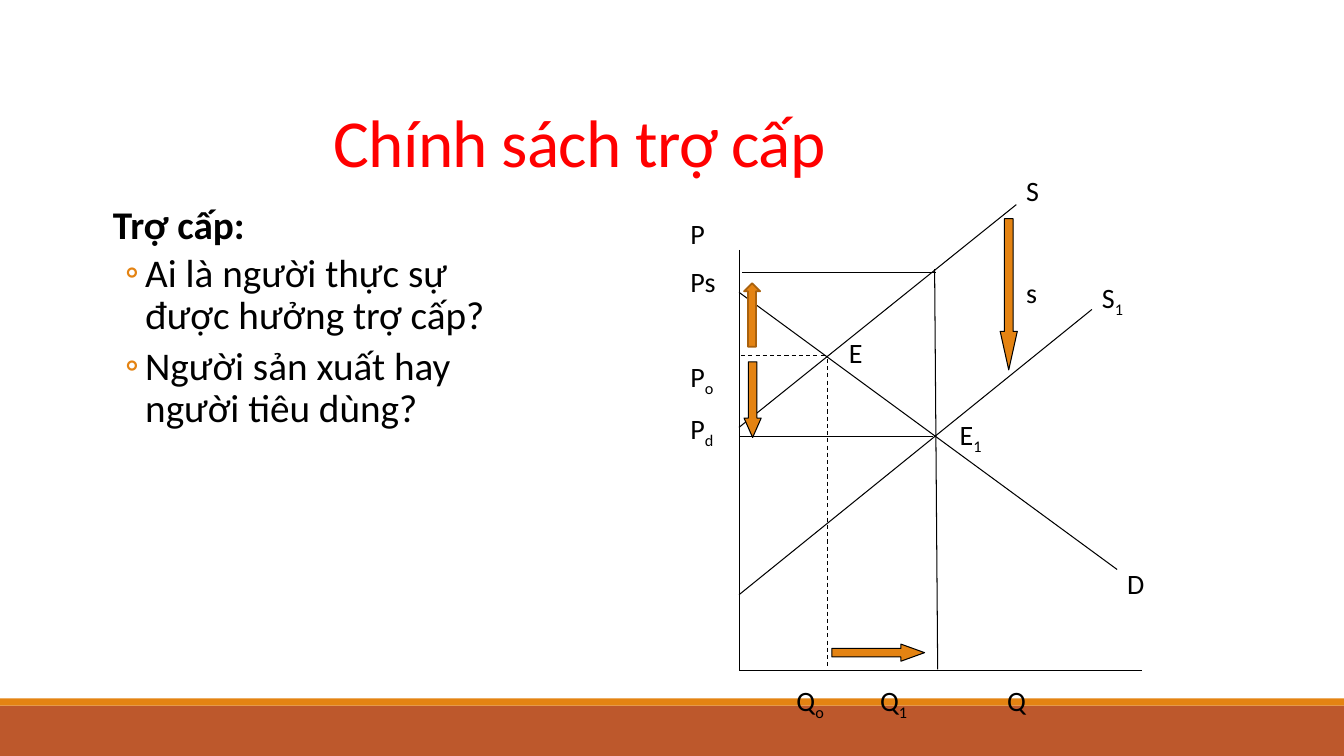
from pptx import Presentation
from pptx.dml.color import RGBColor
from pptx.enum.dml import MSO_LINE
from pptx.enum.shapes import MSO_CONNECTOR, MSO_SHAPE
from pptx.enum.text import MSO_ANCHOR, MSO_AUTO_SIZE, PP_ALIGN
from pptx.oxml.ns import qn
from pptx.util import Inches, Pt
from lxml import etree

STRAIGHT = MSO_CONNECTOR.STRAIGHT
DASH = MSO_LINE.DASH
RECTANGLE = MSO_SHAPE.RECTANGLE
DOWN, UP, RIGHT = MSO_SHAPE.DOWN_ARROW, MSO_SHAPE.UP_ARROW, MSO_SHAPE.RIGHT_ARROW
TOP, BOTTOM = MSO_ANCHOR.TOP, MSO_ANCHOR.BOTTOM
CENTER, LEFT = PP_ALIGN.CENTER, PP_ALIGN.LEFT
NO_AUTOFIT = MSO_AUTO_SIZE.NONE

FONT = "Calibri"
BLACK, RED, ORANGE, RUST, BROWN = "000000", "FF0000", "E48312", "BD582C", "A9610D"


def color(value):
    return RGBColor.from_string(value)


def write(paragraph, text, size=20, fill=BLACK, bold=False, spacing=None):
    """Write text; whatever follows an underscore becomes a subscript."""
    for index, part in enumerate(text.split("_")):
        run = paragraph.add_run()
        run.text = part
        run.font.name = FONT
        run.font.size = Pt(size)
        run.font.bold = bold
        run.font.color.rgb = color(fill)
        properties = run._r.get_or_add_rPr()
        if index:
            properties.set("baseline", "-25000")
        if spacing is not None:
            properties.set("spc", str(int(spacing * 100)))


def place(shape, box):
    shape.left, shape.top, shape.width, shape.height = map(Inches, box)


def set_bullet(paragraph, margin, indent, character=None):
    properties = paragraph._p.get_or_add_pPr()
    properties.set("marL", str(Inches(margin)))
    properties.set("indent", str(Inches(indent)))
    if character is None:
        etree.SubElement(properties, qn("a:buNone"))
        return
    bullet_color = etree.SubElement(properties, qn("a:buClr"))
    etree.SubElement(bullet_color, qn("a:srgbClr")).set("val", ORANGE)
    etree.SubElement(properties, qn("a:buFont")).set("typeface", FONT)
    etree.SubElement(properties, qn("a:buChar")).set("char", character)


def add_block(slide, kind, box, fill, outline=None, width=0.75, adjustments=()):
    shape = slide.shapes.add_shape(kind, *map(Inches, box))
    shape.shadow.inherit = False
    shape.fill.solid()
    shape.fill.fore_color.rgb = color(fill)
    if outline:
        shape.line.color.rgb = color(outline)
        shape.line.width = Pt(width)
    else:
        shape.line.fill.background()
    for index, value in enumerate(adjustments):
        shape.adjustments[index] = value


def add_line(slide, start, end, dash=None):
    line = slide.shapes.add_connector(STRAIGHT, *map(Inches, start + end))
    line.line.color.rgb = color(BLACK)
    line.line.width = Pt(0.75)
    if dash:
        line.line.dash_style = dash
    etree.SubElement(line._element.spPr, qn("a:effectLst"))


def add_label(slide, box, *lines):
    """Each line is a text and the space before it in points."""
    frame = slide.shapes.add_textbox(*map(Inches, box)).text_frame
    frame.word_wrap = True
    for index, (text, space) in enumerate(lines):
        paragraph = frame.add_paragraph() if index else frame.paragraphs[0]
        paragraph.space_before = Pt(space)
        write(paragraph, text)


def add_footer(slide, box):
    left, top, width, height = box
    stripe = 0.07
    add_block(slide, RECTANGLE, (left, top + stripe, width, height - stripe), RUST)
    add_block(slide, RECTANGLE, (left, top, width, stripe), ORANGE)


def add_title(slide, box):
    title = slide.shapes.title
    place(title, box)
    frame = title.text_frame
    frame.auto_size = NO_AUTOFIT
    frame.vertical_anchor = BOTTOM
    paragraph = frame.paragraphs[0]
    paragraph.alignment = CENTER
    paragraph.line_spacing = 0.85
    write(paragraph, "Chính sách trợ cấp", size=48, fill=RED, spacing=-0.5)


def add_questions(slide, box):
    body = slide.placeholders[1]
    place(body, box)
    frame = body.text_frame
    frame.auto_size = NO_AUTOFIT
    frame.vertical_anchor = TOP
    frame.margin_left = frame.margin_right = 0
    texts = ("Trợ cấp:", "Ai là người thực sự được hưởng trợ cấp?",
             "Người sản xuất hay người tiêu dùng?")
    for index, text in enumerate(texts):
        paragraph = frame.add_paragraph() if index else frame.paragraphs[0]
        paragraph.level = min(index, 1)
        paragraph.alignment = LEFT
        paragraph.line_spacing = 0.9
        paragraph.space_before = Pt(2 if index else 12)
        paragraph.space_after = Pt(4 if index else 2)
        if index:
            set_bullet(paragraph, 0.42, -0.2, "◦")
        else:
            set_bullet(paragraph, 0.1, 0)
        write(paragraph, text, size=28, bold=not index)


def add_diagram(slide, box):
    left, top, width, height = box
    right, bottom = left + width, top + height

    def at(x, y):
        return left + x, top + y

    # Axes
    add_line(slide, (left, top), (left, bottom))
    add_line(slide, (left, bottom), (right, bottom))

    # Demand, supply and subsidised supply
    add_line(slide, at(0, 0.42), at(3.75, 3.17))
    add_line(slide, at(0, 1.76), at(2.75, -0.45))
    add_line(slide, at(0, 3.42), at(3.5, 0.59))

    # Price and quantity guides
    add_line(slide, at(0.03, 0.22), at(1.95, 0.22))
    add_line(slide, at(0, 1.85), at(1.92, 1.85))
    add_line(slide, at(1.94, 0.19), at(1.97, 4.16))
    add_line(slide, at(0.02, 1.05), at(0.85, 1.05), DASH)
    add_line(slide, at(0.88, 1.08), at(0.88, 4.16), DASH)

    # Price labels, with a wider gap above the equilibrium price
    add_label(slide, at(-0.58, -0.38) + (0.83, 3.47),
              ("P", 0), ("Ps", 10), ("P_o", 44), ("P_d", 10))

    # Quantity, curve and point labels
    labels = (("Q_o", 0.47, 4.25), ("Q_1", 1.3, 4.25), ("Q", 2.56, 4.25),
              ("S", 2.75, -0.81), ("S_1", 3.5, 0.25), ("D", 3.75, 3.09),
              ("E", 0.99, 0.8), ("E_1", 2.09, 1.61), ("s", 2.75, 0.2))
    for text, x, y in labels:
        add_label(slide, at(x, y) + (0.58, 0.43), (text, 0))

    # Arrows showing the shifts
    add_block(slide, DOWN, at(2.59, -0.31) + (0.17, 1.5), ORANGE, BLACK,
              adjustments=(0.5, 2.25))
    add_block(slide, DOWN, at(0.05, 1.11) + (0.17, 0.75), ORANGE, BLACK,
              adjustments=(0.5, 1.13))
    add_block(slide, RIGHT, at(0.92, 3.91) + (0.92, 0.17), ORANGE, BLACK,
              adjustments=(0.5, 1.38))
    add_block(slide, UP, at(0.05, 0.33) + (0.16, 0.63), ORANGE, BROWN, width=1.25)


def main():
    presentation = Presentation()
    presentation.slide_width = Inches(13.33)
    presentation.slide_height = Inches(7.5)
    slide = presentation.slides.add_slide(presentation.slide_layouts[1])
    add_footer(slide, (0, 6.93, 13.33, 0.57))
    add_title(slide, (0, 0.4, 11.5, 1.45))
    add_questions(slide, (1.02, 1.99, 4.04, 4.5))
    add_diagram(slide, (7.33, 2.48, 4, 4.17))
    presentation.save("out.pptx")


if __name__ == "__main__":
    main()
